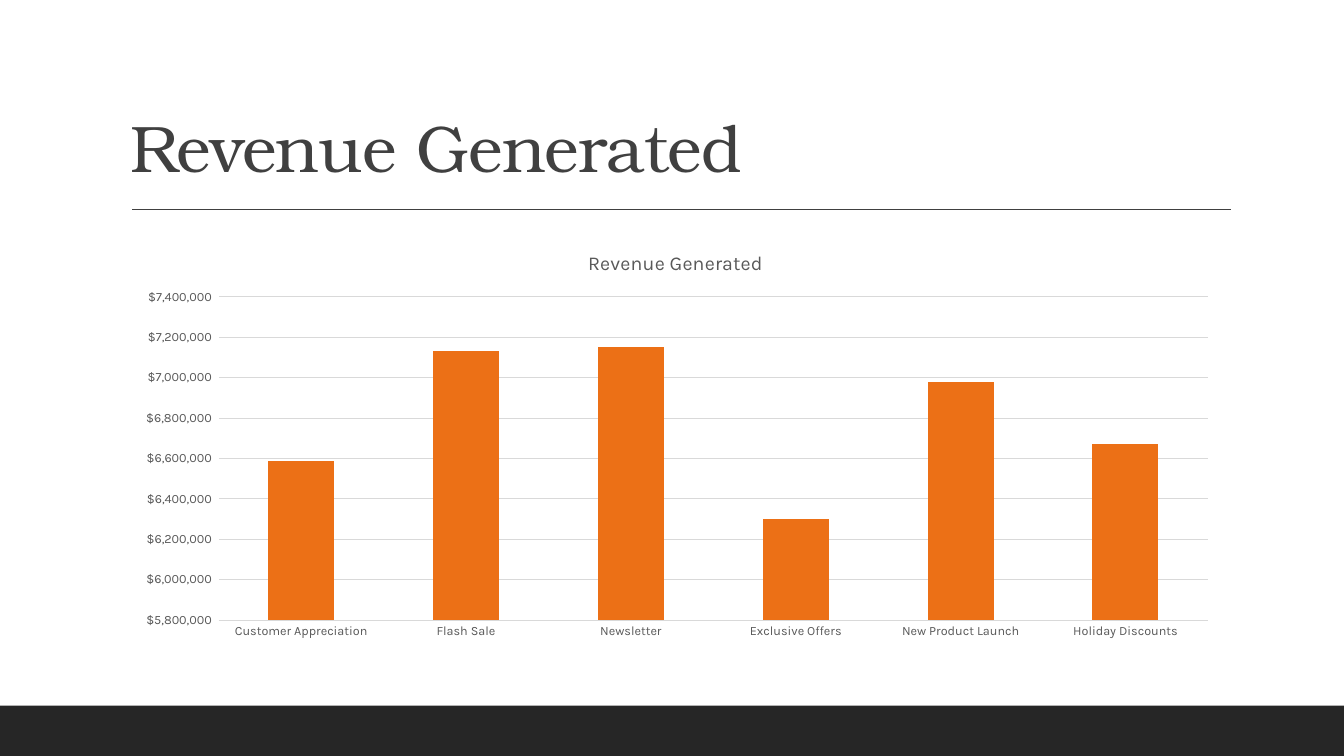
from pptx import Presentation
from pptx import util as u
from pptx.chart.data import CategoryChartData
from pptx.dml.color import RGBColor
from pptx.enum import chart as charts, shapes, text
from pptx.oxml import ns, xmlchemy

Inches, Pt = u.Inches, u.Pt

COLORS = {
    "footer": "262626",
    "title": "404040",
    "label": "595959",
    "grid": "D9D9D9",
    "bar": "EC7016",
    "chart_text": "000000",
}
TITLE_FONT = "TeX Gyre Bonum"
CHART_FONT = "Karla"
HEADING = "Revenue Generated"
REVENUE = {
    "Customer Appreciation": 6590000,
    "Flash Sale": 7130000,
    "Newsletter": 7150000,
    "Exclusive Offers": 6300000,
    "New Product Launch": 6980000,
    "Holiday Discounts": 6670000,
}
DOLLARS = r"_-[$$-C09]* #,##0_-;\-[$$-C09]* #,##0_-;"


def rgb(name):
    return RGBColor.from_string(COLORS[name])


def style_font(font, name, size, color):
    font.name = name
    font.size = Pt(size)
    font.bold = False
    font.color.rgb = rgb(color)


def style_line(line, color, width):
    line.color.rgb = rgb(color)
    line.width = Pt(width)


def add_footer_band(slide):
    band = slide.shapes.add_shape(
        shapes.MSO_SHAPE.RECTANGLE, 0, Inches(7), Inches(13.33), Inches(0.5))
    band.shadow.inherit = False
    band.fill.solid()
    band.fill.fore_color.rgb = rgb("footer")
    band.line.fill.background()


def add_rule(slide, left, right, y):
    rule = slide.shapes.add_connector(
        shapes.MSO_CONNECTOR.STRAIGHT,
        Inches(left), Inches(y), Inches(right), Inches(y))
    style_line(rule.line, "title", 1)
    properties = rule._element.spPr
    properties.append(xmlchemy.OxmlElement("a:effectLst"))


def add_title(slide):
    box = slide.shapes.add_textbox(
        Inches(1.2), Inches(0.31), Inches(11), Inches(1.59))
    frame = box.text_frame
    frame.word_wrap = True
    frame.vertical_anchor = text.MSO_ANCHOR.BOTTOM
    paragraph = frame.paragraphs[0]
    paragraph.line_spacing = 0.9
    run = paragraph.add_run()
    run.text = HEADING
    style_font(paragraph.font, TITLE_FONT, 47, "title")
    run._r.get_or_add_rPr().set("spc", "-50")


def style_axis(axis):
    axis.major_tick_mark = axis.minor_tick_mark = charts.XL_TICK_MARK.NONE
    style_font(axis.tick_labels.font, CHART_FONT, 9, "label")


def add_revenue_chart(slide):
    data = CategoryChartData()
    data.categories = list(REVENUE)
    data.add_series(HEADING, list(REVENUE.values()))
    chart = slide.shapes.add_chart(
        charts.XL_CHART_TYPE.COLUMN_STACKED,
        Inches(1.2), Inches(2.31), Inches(11), Inches(4.11), data).chart
    style_font(chart.font, CHART_FONT, 10, "chart_text")
    chart.has_legend = False

    chart.has_title = True
    chart.chart_title.include_in_layout = False
    paragraph = chart.chart_title.text_frame.paragraphs[0]
    paragraph.text = HEADING
    style_font(paragraph.font, CHART_FONT, 14, "label")

    plot = chart.plots[0]
    plot.vary_by_categories = False
    plot.gap_width = 150
    plot.overlap = 100
    bars = plot.series[0].format.fill
    bars.solid()
    bars.fore_color.rgb = rgb("bar")

    style_axis(chart.category_axis)
    style_line(chart.category_axis.format.line, "grid", 0.75)

    values = chart.value_axis
    style_axis(values)
    values.format.line.fill.background()
    values.minimum_scale = 5800000
    values.maximum_scale = 7400000
    values.major_unit = 200000
    values.tick_labels.number_format = DOLLARS
    values.tick_labels.number_format_is_linked = False
    values.has_major_gridlines = True
    style_line(values.major_gridlines.format.line, "grid", 0.75)


def main():
    presentation = Presentation()
    presentation.slide_width = Inches(13.33)
    presentation.slide_height = Inches(7.5)
    slide = presentation.slides.add_slide(presentation.slide_layouts[6])
    add_footer_band(slide)
    add_rule(slide, 1.31, 12.21, 2.08)
    add_title(slide)
    add_revenue_chart(slide)
    presentation.save("out.pptx")


if __name__ == "__main__":
    main()
